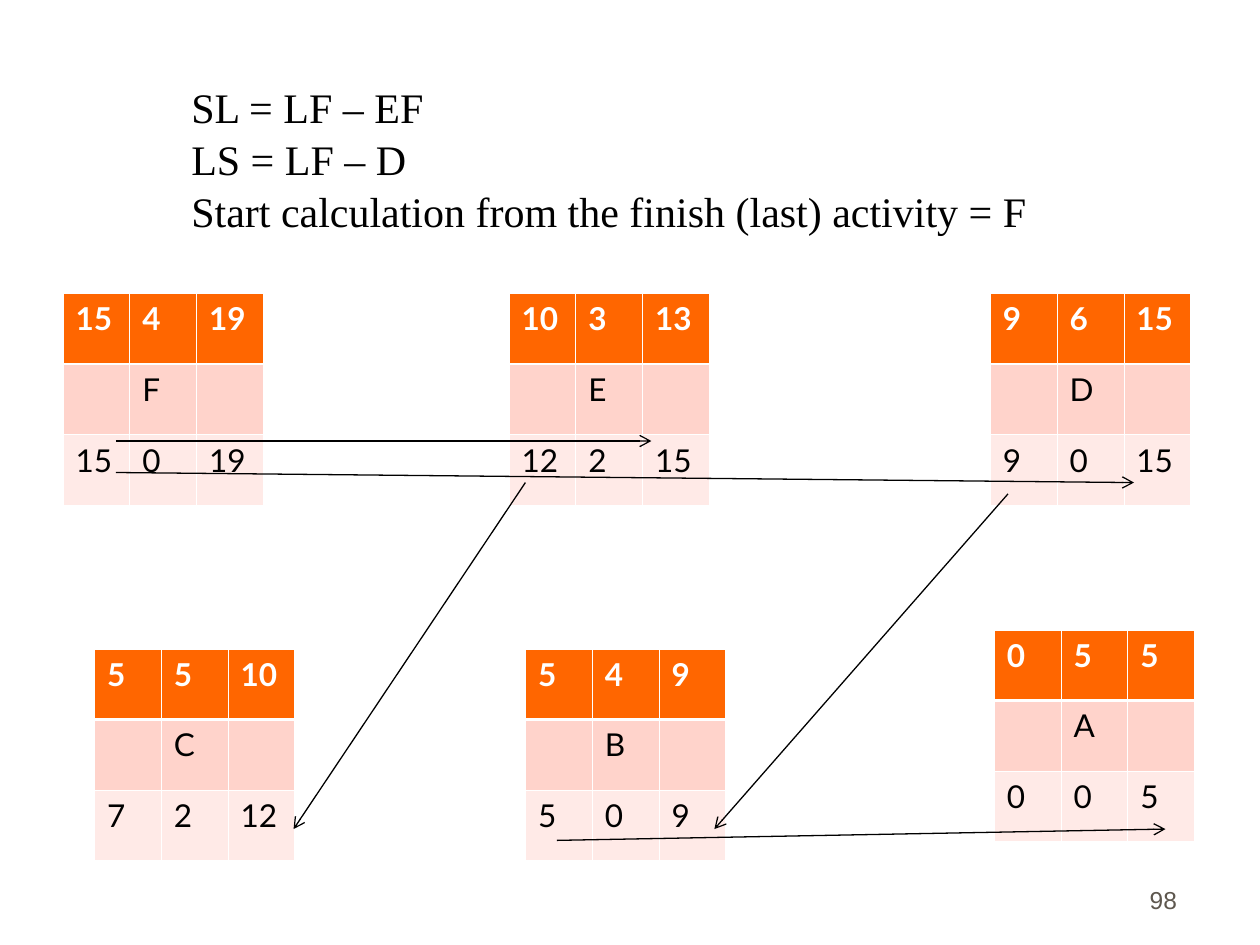
import pptx
import pptx.dml.color
import pptx.enum.shapes
import pptx.enum.text
import pptx.oxml
import pptx.oxml.ns
import pptx.util
from lxml import etree
from pptx.util import Inches

COLORS = {
    "header": "FF6600",
    "name_row": "FFD3CB",
    "late_row": "FFEAE7",
    "white": "FFFFFF",
    "ink": "000000",
    "number": "5E574E",
}
ROW_FILLS = ["header", "name_row", "late_row"]
COLUMN_WIDTH, ROW_HEIGHT = 0.53, 0.56
THIN, THICK = 0.45, 1.47

ACTIVITIES = [
    (7.89, 5, [["0", "5", "5"], ["", "A", ""], ["0", "0", "5"]]),
    (7.86, 2.33, [["9", "6", "15"], ["", "D", ""], ["9", "0", "15"]]),
    (4.17, 5.15, [["5", "4", "9"], ["", "B", ""], ["5", "0", "9"]]),
    (0.75, 5.15, [["5", "5", "10"], ["", "C", ""], ["7", "2", "12"]]),
    (4.04, 2.33, [["10", "3", "13"], ["", "E", ""], ["12", "2", "15"]]),
    (0.5, 2.33, [["15", "4", "19"], ["", "F", ""], ["15", "0", "19"]]),
]
DEPENDENCIES = [
    (0.92, 3.5, 5.17, 3.5),
    (0.92, 3.75, 9, 3.83),
    (4.17, 3.83, 2.33, 6.58),
    (8, 3.92, 5.67, 6.58),
    (4.42, 6.67, 9.25, 6.58),
]
FORMULAS = [
    "SL = LF – EF",
    "LS = LF – D",
    "Start calculation from the finish (last) activity = F",
]


def rgb(name):
    return pptx.dml.color.RGBColor.from_string(COLORS[name])


def add_run(paragraph, text, font_name, size, color, bold=False):
    run = paragraph.add_run()
    run.text = text
    run.font.name = font_name
    run.font.size = pptx.util.Pt(size)
    run.font.bold = bold
    run.font.color.rgb = rgb(color)


def set_borders(cell, top, bottom):
    widths = {"L": THIN, "R": THIN, "T": top, "B": bottom}
    properties = cell._tc.get_or_add_tcPr()
    for index, (side, width) in enumerate(widths.items()):
        border = pptx.oxml.parse_xml(
            f'<a:ln{side} {pptx.oxml.ns.nsdecls("a")} w="{pptx.util.Pt(width)}">'
            f'<a:solidFill><a:srgbClr val="{COLORS["white"]}"/></a:solidFill>'
            f"</a:ln{side}>"
        )
        properties.insert(index, border)


def add_activity(slide, left, top, rows):
    table = slide.shapes.add_table(
        3, 3, Inches(left), Inches(top),
        Inches(3 * COLUMN_WIDTH), Inches(3 * ROW_HEIGHT),
    ).table
    for column in table.columns:
        column.width = Inches(COLUMN_WIDTH)
    for r, values in enumerate(rows):
        table.rows[r].height = Inches(ROW_HEIGHT)
        for c, value in enumerate(values):
            cell = table.cell(r, c)
            cell.fill.solid()
            cell.fill.fore_color.rgb = rgb(ROW_FILLS[r])
            set_borders(cell, THICK if r == 1 else THIN, THICK if r == 0 else THIN)
            if value:
                add_run(cell.text_frame.paragraphs[0], value, "Lato", 18,
                        "white" if r == 0 else "ink", r == 0)


def add_formulas(slide, left, top, width, height):
    frame = slide.shapes.add_textbox(
        Inches(left), Inches(top), Inches(width), Inches(height)
    ).text_frame
    frame.word_wrap = True
    for index, formula in enumerate(FORMULAS):
        paragraph = frame.add_paragraph() if index else frame.paragraphs[0]
        paragraph.line_spacing = 1.04
        add_run(paragraph, formula, "Times New Roman", 24, "ink")


def add_slide_number(slide, left, top, width, height):
    frame = slide.shapes.add_textbox(
        Inches(left), Inches(top), Inches(width), Inches(height)
    ).text_frame
    frame.word_wrap = True
    frame.vertical_anchor = pptx.enum.text.MSO_ANCHOR.BOTTOM
    paragraph = frame.paragraphs[0]
    paragraph.alignment = pptx.enum.text.PP_ALIGN.RIGHT
    add_run(paragraph, "98", "Arial", 14, "number")


def add_dependency(slide, *ends):
    arrow = slide.shapes.add_connector(
        pptx.enum.shapes.MSO_CONNECTOR.STRAIGHT, *map(Inches, ends)
    )
    arrow.line.color.rgb = rgb("ink")
    arrow.line.width = pptx.util.Pt(0.75)
    line = arrow.line._get_or_add_ln()
    etree.SubElement(line, pptx.oxml.ns.qn("a:tailEnd"), type="arrow")
    etree.SubElement(arrow._element.spPr, pptx.oxml.ns.qn("a:effectLst"))


def main():
    presentation = pptx.Presentation()
    presentation.slide_width = Inches(10)
    presentation.slide_height = Inches(7.5)
    slide = presentation.slides.add_slide(presentation.slide_layouts[6])
    for left, top, rows in ACTIVITIES:
        add_activity(slide, left, top, rows)
    add_slide_number(slide, 7.36, 6.81, 2.08, 0.5)
    add_formulas(slide, 1.42, 0.58, 6.83, 1.3)
    for ends in DEPENDENCIES:
        add_dependency(slide, *ends)
    presentation.save("out.pptx")


if __name__ == "__main__":
    main()
